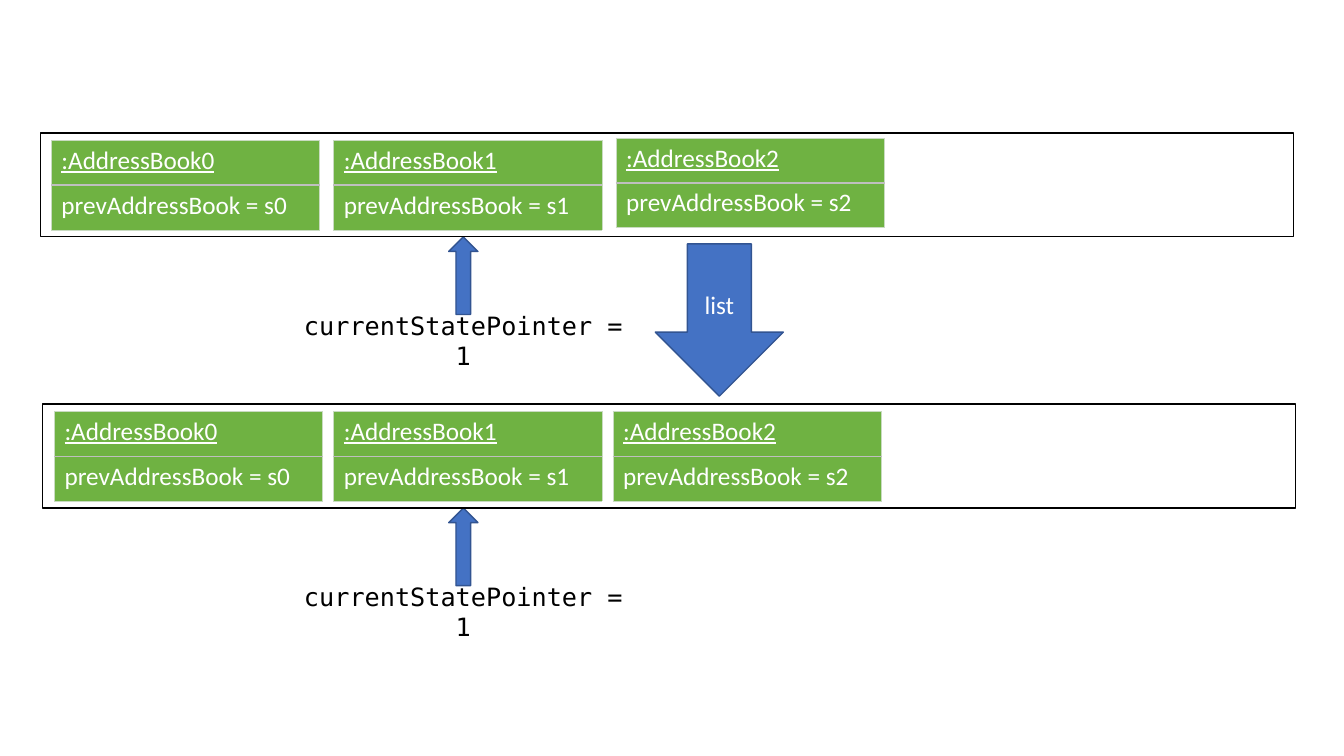
from dataclasses import dataclass
from lxml import etree
from pptx import Presentation
from pptx.dml.color import RGBColor
from pptx.enum.shapes import MSO_SHAPE
from pptx.enum.text import MSO_ANCHOR, PP_ALIGN
from pptx.oxml.ns import qn
from pptx.util import Inches, Pt


@dataclass(frozen=True)
class Theme:
    book: str = "6FB242"
    edge: str = "C9DBC1"
    divider: str = "BFBFBF"
    arrow: str = "4472C4"
    arrow_edge: str = "325491"
    ink: str = "000000"
    light: str = "FFFFFF"
    size: int = 18
    body: str = "Calibri"
    code: str = "DejaVu Sans Mono"


theme = Theme()
SLIDE_W, SLIDE_H = 13.33, 7.5
BOOK_W, BOOK_ROW_H = 2.66, 0.445
MIDDLE_BOOK = 3.31
FRAME_W, FRAME_H = 12.43, 1.03
POINTER_W, POINTER_H = 0.29, 0.77

# One entry per history: frame left and top, book pitch, rise of each book
histories = [
    {"left": 0.4, "top": 1.32, "pitch": 2.8, "rises": (0, 0, 0.02)},
    {"left": 0.42, "top": 4.01, "pitch": 2.77, "rises": (0, 0, 0)},
]

deck = Presentation()
deck.slide_width, deck.slide_height = Inches(SLIDE_W), Inches(SLIDE_H)
slide = deck.slides.add_slide(deck.slide_layouts[6])


def write(text_frame, text, face, color, **paragraph_format):
    paragraph = text_frame.paragraphs[0]
    run = paragraph.add_run()
    run.text = text
    underline = paragraph_format.pop("underline", False)
    for name, value in {"name": face, "size": Pt(theme.size), "underline": underline}.items():
        setattr(run.font, name, value)
    run.font.color.rgb = RGBColor.from_string(color)
    for name, value in paragraph_format.items():
        setattr(paragraph, name, value)


def draw(kind, box, fill, line):
    """Add a preset shape; box is left, top, width, height in inches."""
    shape = slide.shapes.add_shape(kind, *map(Inches, box))
    shape.shadow.inherit = False
    if fill:
        shape.fill.solid()
        shape.fill.fore_color.rgb = RGBColor.from_string(fill)
    else:
        shape.fill.background()
    shape.line.color.rgb = RGBColor.from_string(line)
    shape.line.width = Pt(1)
    return shape


for history in histories:
    top = history["top"]
    frame_bottom = top + FRAME_H
    caption = slide.shapes.add_textbox(
        Inches(2.84), Inches(frame_bottom + 0.68), Inches(3.51), Inches(0.4))
    caption.text_frame.word_wrap = True
    write(caption.text_frame, "currentStatePointer = 1", theme.code, theme.ink,
          alignment=PP_ALIGN.CENTER)

    for number, rise in enumerate(history["rises"]):
        left = MIDDLE_BOOK + (number - 1) * history["pitch"]
        book = slide.shapes.add_table(
            2, 1, Inches(left), Inches(top + 0.07 - rise),
            Inches(BOOK_W), Inches(2 * BOOK_ROW_H)).table
        lines = (f":AddressBook{number}", f"prevAddressBook = s{number}")
        for row, text in enumerate(lines):
            cell = book.cell(row, 0)
            cell.fill.solid()
            cell.fill.fore_color.rgb = RGBColor.from_string(theme.book)
            write(cell.text_frame, text, theme.body, theme.light, underline=row == 0)
            cell.text_frame.paragraphs[0].runs[0].font.bold = False
            inner_side = "lnT" if row else "lnB"
            for position, side in enumerate(("lnL", "lnR", "lnT", "lnB")):
                inner = side == inner_side
                border = etree.Element(qn(f"a:{side}"), w=str(Pt(1 if inner else 0.5)))
                paint = etree.SubElement(border, qn("a:solidFill"))
                etree.SubElement(paint, qn("a:srgbClr"),
                                 val=theme.divider if inner else theme.edge)
                cell._tc.get_or_add_tcPr().insert(position, border)

    draw(MSO_SHAPE.UP_ARROW, (4.45, frame_bottom, POINTER_W, POINTER_H),
         theme.arrow, theme.arrow_edge)
    draw(MSO_SHAPE.RECTANGLE, (history["left"], top, FRAME_W, FRAME_H), None, theme.ink)

command = draw(MSO_SHAPE.DOWN_ARROW, (6.5, 2.42, 1.27, 1.51), theme.arrow, theme.arrow_edge)
command.text_frame.vertical_anchor = MSO_ANCHOR.MIDDLE
write(command.text_frame, "list", theme.body, theme.light, alignment=PP_ALIGN.CENTER)

deck.save("out.pptx")
